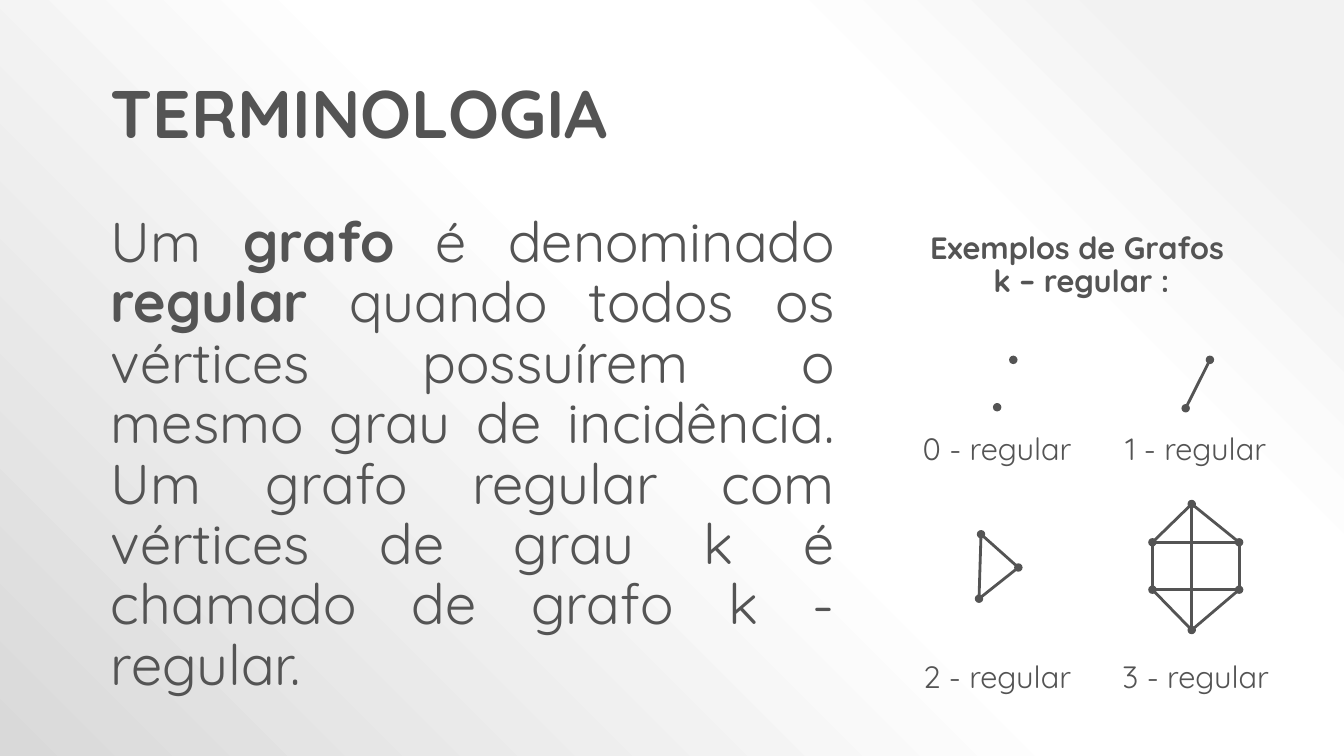
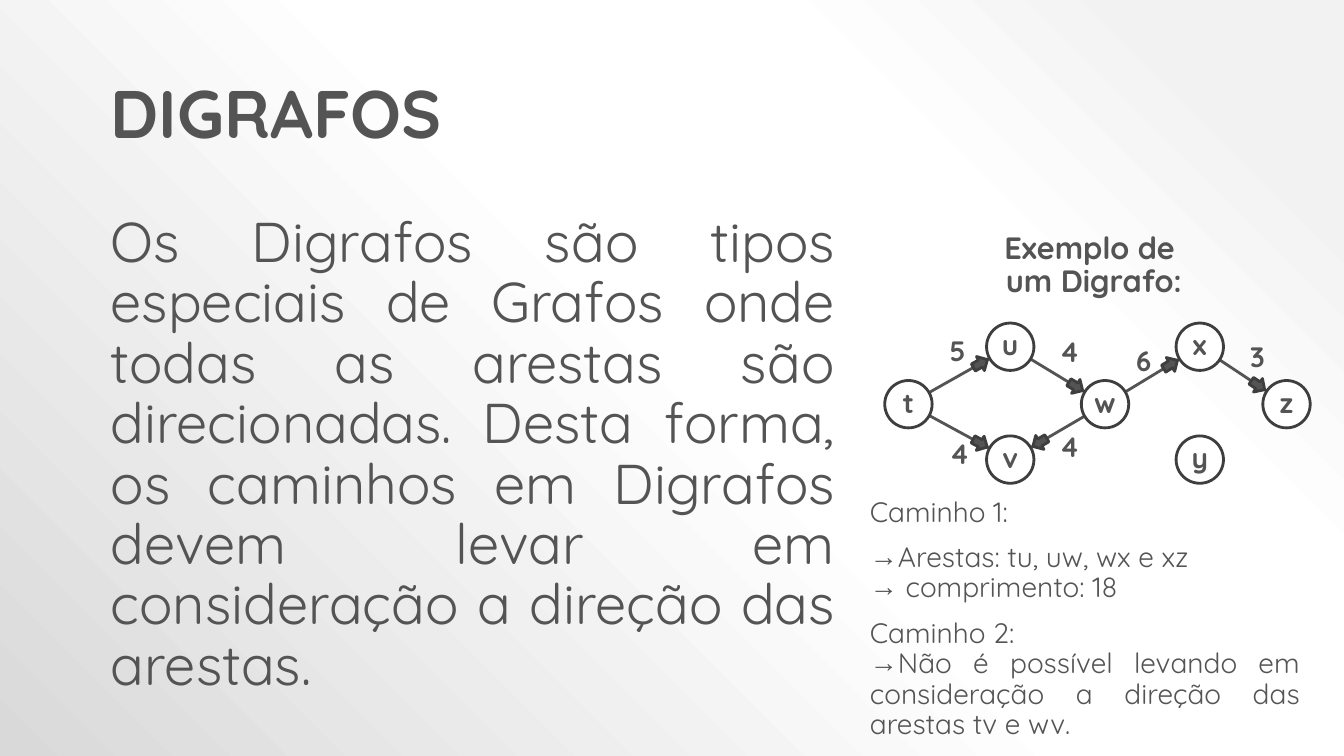
import math
from dataclasses import dataclass

import pptx
import pptx.util
import pptx.dml.color
import pptx.enum.shapes
import pptx.enum.text
import pptx.oxml.ns
import lxml.etree

Inches = pptx.util.Inches
Pt = pptx.util.Pt
SHAPE = pptx.enum.shapes.MSO_SHAPE
ALIGN = pptx.enum.text.PP_ALIGN
qn = pptx.oxml.ns.qn


@dataclass(frozen=True)
class Theme:
    font: str = "Quicksand"
    bullet_font: str = "Arial"
    ink: str = "545454"
    outline: str = "3E3E3E"
    white: str = "FFFFFF"
    backdrop: tuple = ((10, "F2F2F2"), (28, "FFFFFF"), (48, "FFFFFF"), (100, "D9D9D9"))
    title: int = 48
    body: int = 40
    heading: int = 22
    small: int = 20
    stroke: int = 2


theme = Theme()


def rgb(code):
    return pptx.dml.color.RGBColor.from_string(code)


def write(frame, paragraphs, size, bold=False, align=ALIGN.LEFT):
    """Fill a frame; a paragraph is (list of (text, bold) or text, own format values)."""
    frame.word_wrap = True
    frame.auto_size = pptx.enum.text.MSO_AUTO_SIZE.NONE
    for number, (spans, own) in enumerate(paragraphs):
        para = frame.paragraphs[0] if number == 0 else frame.add_paragraph()
        values = {"alignment": align, "line_spacing": 0.9, "space_before": Pt(0)}
        values.update(own)
        bullet = values.pop("bullet", None)
        for name, value in values.items():
            setattr(para, name, value)
        properties = para._p.get_or_add_pPr()
        properties.set("marL", "0")
        properties.set("indent", "0")
        if bullet:
            lxml.etree.SubElement(properties, qn("a:buFont"), typeface=theme.bullet_font)
            lxml.etree.SubElement(properties, qn("a:buChar"), char=bullet)
        else:
            lxml.etree.SubElement(properties, qn("a:buNone"))
        for text, strong in [(spans, bold)] if isinstance(spans, str) else spans:
            span = para.add_run()
            span.text = text
            for name, value in {"name": theme.font, "size": Pt(size), "bold": strong}.items():
                setattr(span.font, name, value)
            span.font.color.rgb = rgb(theme.ink)


# Deck, shared background and placeholder places
deck = pptx.Presentation()
deck.slide_width, deck.slide_height = Inches(13.33), Inches(7.5)

deck.slide_master.background.fill.gradient()
gradient = deck.slide_master.element.find(".//" + qn("a:gradFill"))
gradient.clear()
stops = lxml.etree.SubElement(gradient, qn("a:gsLst"))
for percent, code in theme.backdrop:
    stop = lxml.etree.SubElement(stops, qn("a:gs"), pos=str(percent * 1000))
    lxml.etree.SubElement(stop, qn("a:srgbClr"), val=code)
spread = lxml.etree.SubElement(gradient, qn("a:path"), path="circle")
lxml.etree.SubElement(spread, qn("a:fillToRect"), l="100000", b="100000")

layout = deck.slide_layouts[1]
places = {0: (1, 0.75, 7.38, 0.9), 1: (1, 2.07, 7.38, 5.43)}
for holder in layout.placeholders:
    index = holder.placeholder_format.idx
    if index in places:
        sides = zip(("left", "top", "width", "height"), places[index])
        for name, value in sides:
            setattr(holder, name, Inches(value))
        holder.text_frame.vertical_anchor = pptx.enum.text.MSO_ANCHOR.TOP

# Regular graphs: label place, vertices, plain edges, dotted edges.
# A dotted edge from a vertex to itself is a single dot.
regular_graphs = [
    ((8.99, 4.26), [(10.05, 3.57), (9.89, 4.04)], [], [(0, 0), (1, 1)]),
    ((10.96, 4.26), [(12, 3.57), (11.76, 4.05)], [], [(0, 1)]),
    ((8.99, 6.52), [(9.73, 5.3), (10.1, 5.63), (9.71, 5.94)],
     [(0, 1), (1, 2)], [(0, 2), (1, 1)]),
    ((10.96, 6.52),
     [(11.82, 5), (12.29, 5.38), (12.29, 5.85), (11.82, 6.25), (11.43, 5.85), (11.43, 5.38)],
     [(0, 1), (1, 2), (2, 3), (3, 4), (4, 5), (5, 0), (1, 5), (2, 4), (0, 3)],
     [(vertex, vertex) for vertex in range(6)]),
]
dot_length = 0.01
regular_edges, regular_texts = [], []
for degree, (place, vertices, plain, dotted) in enumerate(regular_graphs):
    regular_edges += [(vertices[a], vertices[b], ()) for a, b in plain]
    for a, b in dotted:
        x, y = vertices[b]
        if a == b:
            regular_edges.append((vertices[a], (x, y - dot_length), ("a:headEnd",)))
        else:
            regular_edges.append((vertices[a], (x, y), ("a:headEnd", "a:tailEnd")))
    regular_texts.append(((*place, 1.8, 0.43), [(f"{degree} - regular", {})],
                          theme.heading, False, ALIGN.CENTER))
regular_texts.append(((8.93, 2.26, 3.59, 0.77),
                      [("Exemplos de Grafos ", {}), ("k – regular :", {})],
                      theme.heading, True, ALIGN.CENTER))

# Directed graph: node centres, then edges with weight and weight place
high, middle, low = 3.44, 4.01, 4.56
nodes = {"t": (9.01, middle), "u": (10.02, high), "v": (10.02, low), "w": (10.96, middle),
         "x": (11.9, high), "y": (11.9, low), "z": (12.76, middle)}
directed = [("tu", "5", (9.32, 3.3)), ("uw", "4", (10.41, 3.31)), ("wx", "6", (11.17, 3.4)),
            ("xz", "3", (12.3, 3.36)), ("tv", "4", (9.32, 4.32)), ("wv", "4", (10.41, 4.25))]
arrow_gap = 0.34
directed_edges, directed_texts = [], []
directed_marks = [(SHAPE.OVAL, centre, 0.47, theme.white, theme.outline, 0, letter)
                  for letter, centre in nodes.items()]
for (tail, head), weight, place in directed:
    start, end = nodes[tail], nodes[head]
    across, down = end[0] - start[0], end[1] - start[1]
    share = arrow_gap / math.hypot(across, down)
    centre = (end[0] - across * share, end[1] - down * share)
    turn = math.degrees(math.atan2(across, -down)) % 360
    directed_edges.append((start, end, ()))
    directed_marks.append((SHAPE.UP_ARROW, centre, 0.16, theme.ink, theme.outline, turn, ""))
    directed_texts.append(((*place, 0.39, 0.4), [(weight, {})], theme.small, True, ALIGN.LEFT))
step = {"bullet": "→", "alignment": ALIGN.JUSTIFY}
gap = {"space_before": Pt(11)}
directed_texts += [
    ((8.7, 2.26, 4.3, 0.77), [("Exemplo de ", {}), ("um Digrafo:", {})],
     theme.heading, True, ALIGN.CENTER),
    ((8.53, 4.89, 4.46, 2.52), [
        ("Caminho 1:", {}),
        ("Arestas: tu, uw, wx e xz", {**step, **gap}),
        (" comprimento: 18", step),
        ("Caminho 2:", gap),
        ("Não é possível levando em consideração a direção das arestas tv e wv.", step),
    ], theme.small, False, ALIGN.LEFT),
]

# Page content: title, body, edges, marks, texts
pages = [
    ("TERMINOLOGIA",
     [("Um ", False), ("grafo", True), (" é denominado ", False), ("regular", True),
      (" quando todos os vértices possuírem o mesmo grau de incidência. Um grafo regular "
       "com vértices de grau k é chamado de grafo k - regular.", False)],
     regular_edges, [], regular_texts),
    ("DIGRAFOS",
     "Os Digrafos são tipos especiais de Grafos onde todas as arestas são direcionadas. "
     "Desta forma, os caminhos em Digrafos devem levar em consideração a direção das arestas.",
     directed_edges, directed_marks, directed_texts),
]

for title, body, edges, marks, texts in pages:
    page = deck.slides.add_slide(layout)
    write(page.shapes.title.text_frame, [(title, {})], theme.title, True)
    write(page.placeholders[1].text_frame, [(body, {})], theme.body, align=ALIGN.JUSTIFY)

    # Edges lie behind the nodes
    for start, end, dots in edges:
        line = page.shapes.add_connector(pptx.enum.shapes.MSO_CONNECTOR.STRAIGHT,
                                         *(Inches(value) for value in (*start, *end)))
        line.line.color.rgb = rgb(theme.ink)
        line.line.width = Pt(theme.stroke)
        for dot in dots:
            lxml.etree.SubElement(line.line._get_or_add_ln(), qn(dot), type="oval")
        lxml.etree.SubElement(line._element.spPr, qn("a:effectLst"))

    # Nodes and arrow marks
    for kind, (x, y), size, fill, outline, turn, letter in marks:
        box = page.shapes.add_shape(kind, Inches(x - size / 2), Inches(y - size / 2),
                                    Inches(size), Inches(size))
        box.shadow.inherit = False
        box.rotation = turn
        box.fill.solid()
        box.fill.fore_color.rgb = rgb(fill)
        box.line.color.rgb = rgb(outline)
        box.line.width = Pt(theme.stroke)
        if letter:
            write(box.text_frame, [(letter, {})], theme.small, True, ALIGN.CENTER)
            for side in ("left", "top", "right", "bottom"):
                setattr(box.text_frame, f"margin_{side}", 0)
            box.text_frame.vertical_anchor = pptx.enum.text.MSO_ANCHOR.MIDDLE

    # Headings, labels and notes
    for place, paragraphs, size, bold, align in texts:
        box = page.shapes.add_textbox(*(Inches(value) for value in place))
        write(box.text_frame, paragraphs, size, bold, align)

deck.save("out.pptx")
